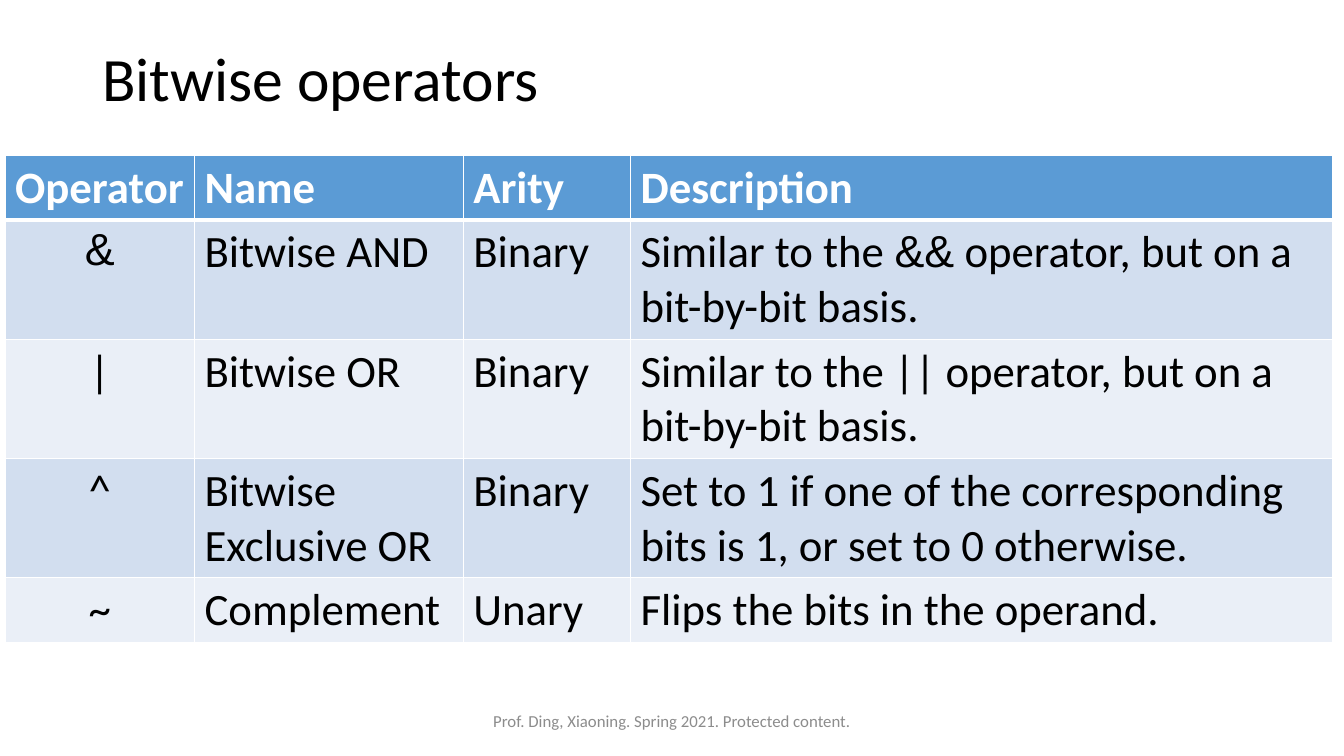
from dataclasses import dataclass

from lxml import etree
from pptx import Presentation
from pptx import util as u
from pptx.dml.color import RGBColor
from pptx.enum import text
from pptx.oxml.ns import qn

# The slide is a grid of 160 columns by 90 rows of square units
GRID_COLUMNS, GRID_ROWS = 160, 90
UNIT = u.Inches(7.5) // GRID_ROWS


@dataclass(frozen=True)
class Theme:
    body_font: str = "Calibri"
    symbol_font: str = "Arial"
    title_size: int = 44
    table_size: int = 32
    footer_size: int = 12
    ink: str = "000000"
    white: str = "FFFFFF"
    footer_ink: str = "8C8C8C"
    header_fill: str = "5B9BD5"
    bands: tuple[str, str] = ("D2DEEF", "EAEFF7")
    rule: float = 1
    header_rule: float = 3


@dataclass(frozen=True)
class Run:
    words: str
    symbol: bool = False


@dataclass(frozen=True)
class Style:
    size: int
    color: str
    bold: bool = False
    centred: bool = False


@dataclass(frozen=True)
class Area:
    left: float
    top: float
    width: float
    height: float

    def emu(self) -> list[int]:
        return [grid(n) for n in (self.left, self.top, self.width, self.height)]


@dataclass(frozen=True)
class Operator:
    symbol: Run
    name: str
    arity: str
    description: tuple[Run, ...]
    lines: int = 2

    def cells(self) -> list[tuple[Run, ...]]:
        return [(self.symbol,), (Run(self.name),), (Run(self.arity),), self.description]


THEME = Theme()
TITLE_AREA = Area(11, 1, 138, 17.4)
FOOTER_AREA = Area(53, 83.4, 54, 4.8)
TABLE_LEFT, TABLE_TOP = 0.6, 18.5
COLUMN_WIDTHS = (22.56, 32, 19.9, 83.6)
LINE_HEIGHT, CELL_PADDING = 6.5, 1.2

HEADINGS = ("Operator", "Name", "Arity", "Description")
OPERATORS = (
    Operator(Run("&", True), "Bitwise AND", "Binary",
             (Run("Similar to the "), Run("&&", True),
              Run(" operator, but on a bit-by-bit basis."))),
    Operator(Run("|"), "Bitwise OR", "Binary",
             (Run("Similar to the || operator, but on a bit-by-bit basis."),)),
    Operator(Run("^"), "Bitwise Exclusive OR", "Binary",
             (Run("Set to 1 if one of the corresponding bits is 1, or set to 0 otherwise."),)),
    Operator(Run("~"), "Complement", "Unary",
             (Run("Flips the bits in the operand."),), lines=1),
)


def grid(units: float) -> int:
    return round(units * UNIT)


def write(frame, runs: tuple[Run, ...], style: Style):
    paragraph = frame.paragraphs[0]
    paragraph.alignment = text.PP_ALIGN.CENTER if style.centred else text.PP_ALIGN.LEFT
    for part in runs:
        run = paragraph.add_run()
        run.text = part.words
        run.font.name = THEME.symbol_font if part.symbol else THEME.body_font
        run.font.size = u.Pt(style.size)
        run.font.bold = style.bold
        run.font.color.rgb = RGBColor.from_string(style.color)
    return paragraph


def add_label(slide, area: Area, words: str, style: Style):
    frame = slide.shapes.add_textbox(*area.emu()).text_frame
    frame.word_wrap = True
    frame.vertical_anchor = text.MSO_ANCHOR.MIDDLE
    return write(frame, (Run(words),), style)


def paint_cell(cell, fill: str, top: float, bottom: float) -> None:
    cell.fill.solid()
    cell.fill.fore_color.rgb = RGBColor.from_string(fill)
    properties = cell._tc.get_or_add_tcPr()
    # Borders come before the fill in the cell's properties
    edges = (("L", THEME.rule), ("R", THEME.rule), ("T", top), ("B", bottom))
    for place, (side, width) in enumerate(edges):
        line = etree.Element(qn(f"a:ln{side}"), w=str(u.Pt(width)))
        solid = etree.SubElement(line, qn("a:solidFill"))
        etree.SubElement(solid, qn("a:srgbClr"), val=THEME.white)
        properties.insert(place, line)


def add_operator_table(slide) -> None:
    line_counts = [1] + [operator.lines for operator in OPERATORS]
    heights = [CELL_PADDING + LINE_HEIGHT * count for count in line_counts]
    area = Area(TABLE_LEFT, TABLE_TOP, sum(COLUMN_WIDTHS), sum(heights))
    table = slide.shapes.add_table(len(heights), len(COLUMN_WIDTHS), *area.emu()).table
    for column, width in zip(table.columns, COLUMN_WIDTHS):
        column.width = grid(width)
    for row, height in zip(table.rows, heights):
        row.height = grid(height)

    contents = [[(Run(heading),) for heading in HEADINGS]]
    contents += [operator.cells() for operator in OPERATORS]
    for r, row_runs in enumerate(contents):
        header = r == 0
        fill = THEME.header_fill if header else THEME.bands[(r - 1) % 2]
        top = THEME.header_rule if r == 1 else THEME.rule
        bottom = THEME.header_rule if header else THEME.rule
        for c, runs in enumerate(row_runs):
            cell = table.cell(r, c)
            paint_cell(cell, fill, top, bottom)
            write(cell.text_frame, runs,
                  Style(THEME.table_size, THEME.white if header else THEME.ink,
                        bold=header, centred=c == 0 and not header))


def main() -> None:
    deck = Presentation()
    deck.slide_width, deck.slide_height = GRID_COLUMNS * UNIT, GRID_ROWS * UNIT
    slide = deck.slides.add_slide(deck.slide_layouts[6])

    # Title
    title = add_label(slide, TITLE_AREA, "Bitwise operators", Style(THEME.title_size, THEME.ink))
    title.line_spacing = 0.9

    # Operators
    add_operator_table(slide)

    # Footer
    add_label(slide, FOOTER_AREA, "Prof. Ding, Xiaoning. Spring 2021. Protected content.",
              Style(THEME.footer_size, THEME.footer_ink, centred=True))

    deck.save("out.pptx")


if __name__ == "__main__":
    main()
